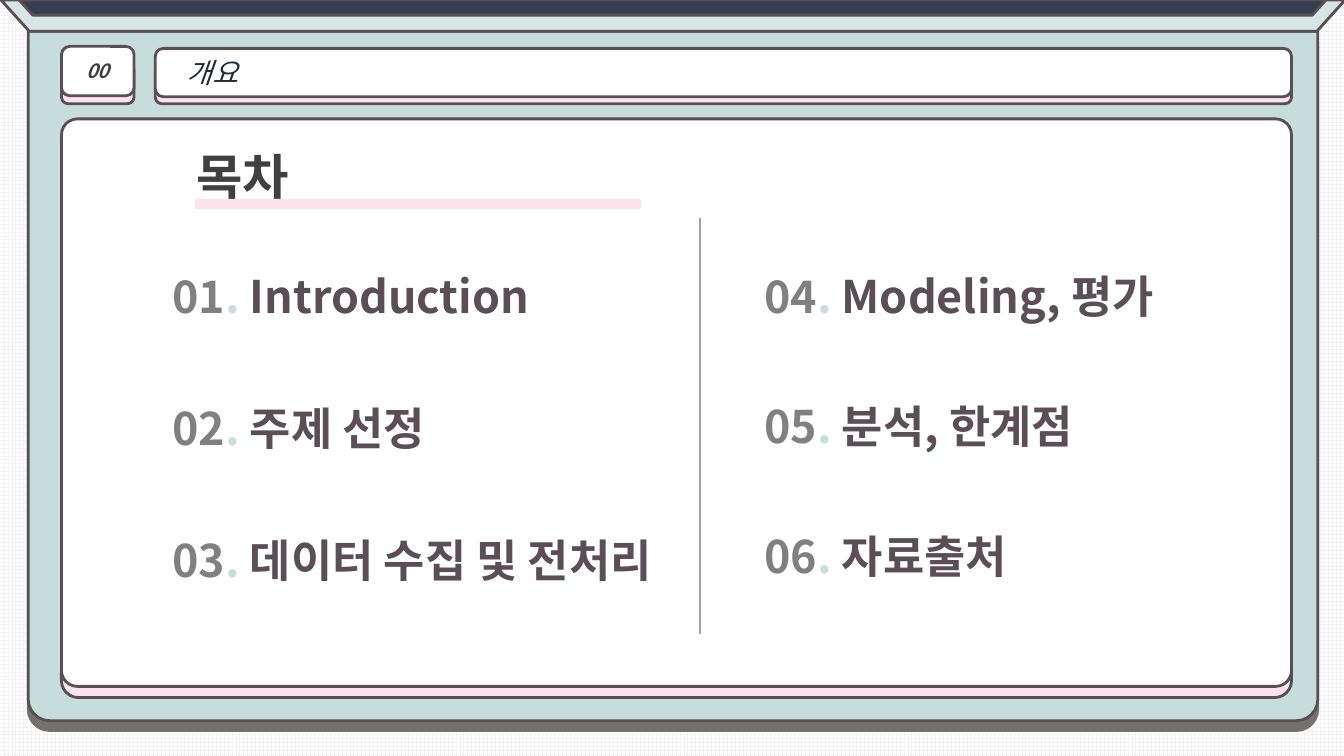
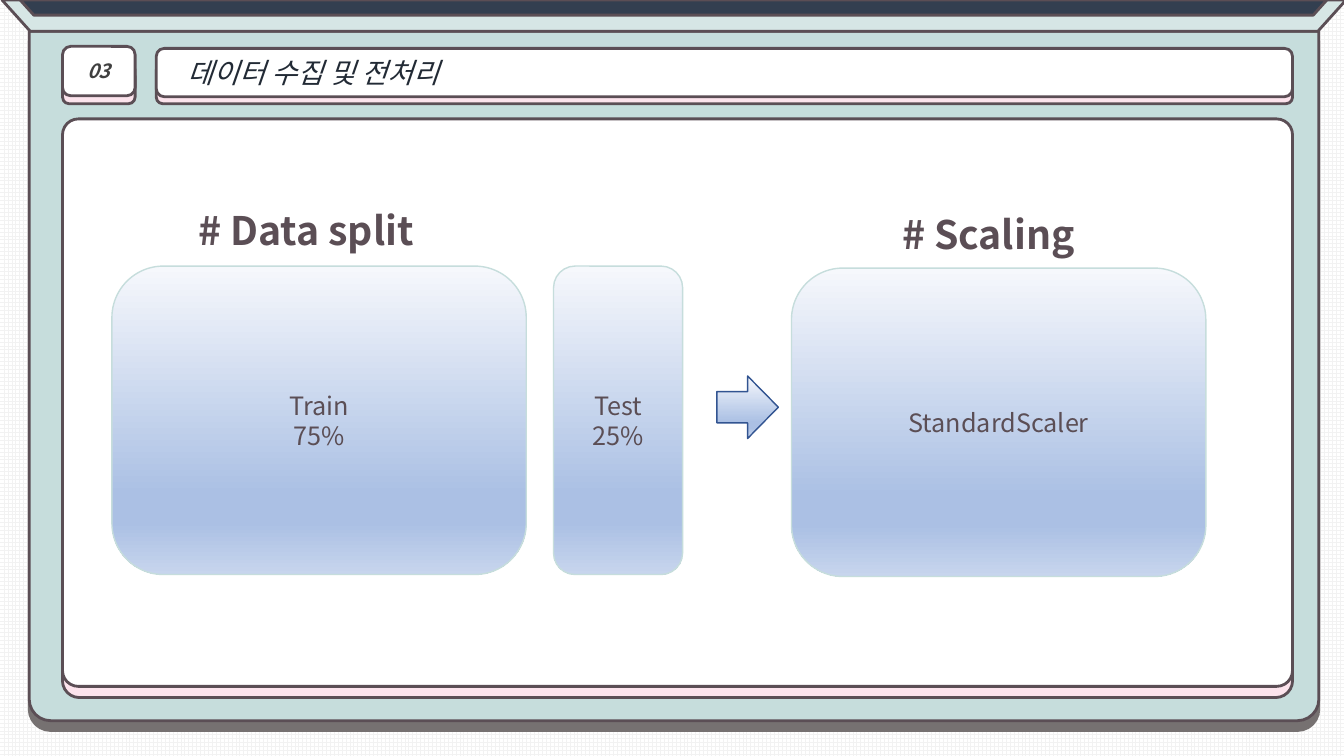
"""Build a contents slide and a data preparation slide inside a shared console frame."""
from dataclasses import dataclass
from typing import Optional

from lxml.etree import SubElement
from pptx import Presentation
from pptx.dml.color import RGBColor
from pptx.enum.dml import MSO_PATTERN
from pptx.enum.shapes import MSO_CONNECTOR, MSO_SHAPE
from pptx.enum.text import MSO_ANCHOR, MSO_AUTO_SIZE, PP_ALIGN
from pptx.oxml.ns import qn
from pptx.util import Inches, Pt

FONT = "Noto Sans CJK KR"
COLORS = {
    "paper": "FFFFFF", "grid": "F2F2F2", "mint": "C6DDDC", "pale_mint": "D6E6E5",
    "navy": "333F50", "pink": "FCE3EC", "plum": "5B4E55", "shade": "767171",
    "number": "808080", "dark": "404040", "ink": "222A35", "divider": "A5A5A5",
    "arrow_edge": "325491", "sky_light": "F6F8FC", "sky": "ABC0E4", "sky_end": "C7D5ED",
}
GRADIENT = ((0, "sky_light"), (74, "sky"), (83, "sky"), (100, "sky_end"))


@dataclass(frozen=True)
class Box:
    """Position and size in inches."""
    left: float
    top: float
    width: float
    height: float

    def moved(self, shift: float):
        """Return the box shifted to the right."""
        return Box(self.left + shift, self.top, self.width, self.height)

    def lengths(self) -> tuple:
        """Return the four lengths for python-pptx."""
        return tuple(Inches(size) for size in (self.left, self.top, self.width, self.height))


@dataclass(frozen=True)
class Style:
    """Look of a piece of text."""
    size: float
    color: str
    bold: bool = False
    italic: bool = False


@dataclass(frozen=True)
class Panel:
    """An outlined preset shape."""
    box: Box
    fill: Optional[str] = None
    line: str = "plum"
    weight: float = 2
    kind: MSO_SHAPE = MSO_SHAPE.ROUNDED_RECTANGLE
    adjustments: tuple = ()
    rotation: int = 0


@dataclass(frozen=True)
class Entry:
    """A numbered line of the contents."""
    box: Box
    number: str
    dot: str
    title: str


BODY = Panel(Box(0.28, 0.31, 12.79, 6.84), "mint",
             kind=MSO_SHAPE.ROUND_2_SAME_RECTANGLE, adjustments=(0, 0.031))
LIDS = tuple(
    Panel(box, fill, kind=MSO_SHAPE.TRAPEZOID, adjustments=(0.9,), rotation=180)
    for box, fill in ((Box(0.01, 0, 13.33, 0.31), "pale_mint"),
                      (Box(0.19, 0, 12.96, 0.15), "navy"))
)
NUMBER_BASE = Panel(Box(0.61, 0.63, 0.72, 0.4), "pink")
NUMBER_TAB = Panel(Box(0.61, 0.46, 0.72, 0.49), "paper")
TITLE_BASE = Panel(Box(1.54, 0.63, 11.27, 0.4), "pink")
TITLE_BAR = Panel(Box(1.54, 0.48, 11.27, 0.48), "paper")
CONTENT_BASE = Panel(Box(0.61, 2, 12.2, 4.92), "pink", adjustments=(0.034,))
CONTENT = Panel(Box(0.61, 1.18, 12.2, 5.63), "paper", adjustments=(0.028,))

NUMBER_STYLE = Style(14, "dark", bold=True, italic=True)
TITLE_STYLE = Style(20, "ink", italic=True)
CONTENTS_STYLE = Style(36, "dark", bold=True)
HEADING_STYLE = Style(28, "plum", bold=True)
CARD_STYLE = Style(18, "plum")


def rgb(name: str) -> RGBColor:
    """Look up a named colour."""
    return RGBColor.from_string(COLORS[name])


def format_span(span, style: Style) -> None:
    """Apply a text style to a run, for Latin and Korean letters alike."""
    font = span.font
    font.size, font.bold, font.italic = Pt(style.size), style.bold, style.italic
    font.color.rgb = rgb(style.color)
    font.name = FONT
    SubElement(span._r.get_or_add_rPr(), qn("a:ea"), typeface=FONT)


def format_frame(frame, style: Style, align: PP_ALIGN = PP_ALIGN.LEFT) -> None:
    """Format every paragraph of a text frame."""
    for para in frame.paragraphs:
        para.alignment = align
        for span in para.runs:
            format_span(span, style)


def fill_gradient(shape) -> None:
    """Give a shape the vertical blue gradient."""
    shape.fill.gradient()
    shape.fill.gradient_angle = 270
    stops = shape._element.spPr.find(qn("a:gradFill")).find(qn("a:gsLst"))
    for stop in list(stops):
        stops.remove(stop)
    for percent, color in GRADIENT:
        stop = SubElement(stops, qn("a:gs"), pos=str(percent * 1000))
        SubElement(stop, qn("a:srgbClr"), val=COLORS[color])


def add_panel(page, panel: Panel, shift: float = 0):
    """Draw a panel; without a fill colour it gets the gradient."""
    shape = page.shapes.add_shape(panel.kind, *panel.box.moved(shift).lengths())
    shape.shadow.inherit = False
    shape.rotation = panel.rotation
    for index, value in enumerate(panel.adjustments):
        shape.adjustments[index] = value
    if panel.fill:
        shape.fill.solid()
        shape.fill.fore_color.rgb = rgb(panel.fill)
    else:
        fill_gradient(shape)
    shape.line.color.rgb = rgb(panel.line)
    shape.line.width = Pt(panel.weight)
    return shape


def add_label(shape, text: str, style: Style, align: PP_ALIGN = PP_ALIGN.CENTER) -> None:
    """Write text in the middle of a shape."""
    frame = shape.text_frame
    frame.text = text
    frame.vertical_anchor = MSO_ANCHOR.MIDDLE
    format_frame(frame, style, align)


def add_text(page, box: Box, text: str, style: Style):
    """Add a wrapping text box and return its frame."""
    frame = page.shapes.add_textbox(*box.lengths()).text_frame
    frame.word_wrap = True
    frame.auto_size = MSO_AUTO_SIZE.SHAPE_TO_FIT_TEXT
    frame.text = text
    format_frame(frame, style)
    return frame


def add_entry(page, entry: Entry) -> None:
    """Add a contents line with its three colours."""
    frame = add_text(page, entry.box, entry.number, Style(32, "number", bold=True))
    for text, color in ((entry.dot, "mint"), (entry.title, "plum")):
        span = frame.paragraphs[0].add_run()
        span.text = text
        format_span(span, Style(32, color, bold=True))


def add_drop_shadow(shape) -> None:
    """Put a hard grey shadow straight below a shape."""
    effects = shape._element.spPr.find(qn("a:effectLst"))
    shadow = SubElement(effects, qn("a:outerShdw"), blurRad="0", dist=str(Pt(7)),
                        dir="5400000", algn="t", rotWithShape="0")
    SubElement(shadow, qn("a:srgbClr"), val=COLORS["shade"])


def add_page(deck, number: str, title: str, shift: float = 0):
    """Add a slide with the gridded background and the console frame."""
    page = deck.slides.add_slide(deck.slide_layouts[6])
    backdrop = page.background.fill
    backdrop.patterned()
    backdrop.pattern = MSO_PATTERN.LARGE_GRID
    backdrop.fore_color.rgb = rgb("grid")
    backdrop.back_color.rgb = rgb("paper")

    add_drop_shadow(add_panel(page, BODY, shift))
    for panel in (*LIDS, NUMBER_BASE):
        add_panel(page, panel, shift)
    number_tab = add_panel(page, NUMBER_TAB, shift)
    add_label(number_tab, number, NUMBER_STYLE)
    number_tab.text_frame.word_wrap = False
    add_panel(page, TITLE_BASE, shift)
    title_bar = add_panel(page, TITLE_BAR, shift)
    add_label(title_bar, title, TITLE_STYLE, PP_ALIGN.LEFT)
    title_bar.text_frame.margin_left = Inches(0.29)
    for panel in (CONTENT_BASE, CONTENT):
        add_panel(page, panel, shift)
    return page


def build_contents(deck) -> None:
    """Build the contents slide."""
    page = add_page(deck, "00", "개요")
    heading = add_text(page, Box(1.85, 1.1, 1.58, 0.9), "목차", CONTENTS_STYLE)
    heading.paragraphs[0].line_spacing = 1.5
    add_panel(page, Panel(Box(1.94, 1.98, 4.41, 0.09), "pink", "pink", 1))

    columns = (
        (1.61, 1.31, ((".", " Introduction"), (". ", "주제 선정"),
                      (". ", "데이터 수집 및 전처리"))),
        (7.48, 1.29, ((".", " Modeling, 평가"), (". ", "분석, 한계점"),
                      (". ", "자료출처"))),
    )
    number = 0
    for left, pitch, titles in columns:
        for row, (dot, title) in enumerate(titles):
            number += 1
            box = Box(left, 2.62 + row * pitch, 5.33, 0.64)
            add_entry(page, Entry(box, f"{number:02}", dot, title))

    divider = page.shapes.add_connector(
        MSO_CONNECTOR.STRAIGHT, Inches(6.94), Inches(2.16), Inches(6.94), Inches(6.29))
    divider.line.color.rgb = rgb("divider")
    divider.line.width = Pt(1.5)
    SubElement(divider._element.spPr, qn("a:effectLst"))


def build_preparation(deck) -> None:
    """Build the data split and scaling slide."""
    page = add_page(deck, "03", "데이터 수집 및 전처리", shift=0.01)
    for left, top, heading in ((1.87, 2, "# Data split"), (8.85, 2.04, "# Scaling")):
        add_text(page, Box(left, top, 3.62, 0.57), heading, HEADING_STYLE)
    cards = (
        (Box(1.11, 2.64, 4.11, 3.06), "Train\n75%"),
        (Box(5.49, 2.64, 1.28, 3.06), "Test\n25%"),
        (Box(7.85, 2.66, 4.11, 3.06), "StandardScaler"),
    )
    for box, text in cards:
        add_label(add_panel(page, Panel(box, line="mint", weight=1)), text, CARD_STYLE)
    add_panel(page, Panel(Box(7.11, 3.73, 0.61, 0.62), line="arrow_edge", weight=1,
                          kind=MSO_SHAPE.RIGHT_ARROW))


def main() -> None:
    """Build and save the deck."""
    deck = Presentation()
    deck.slide_width, deck.slide_height = Inches(13.33), Inches(7.5)
    build_contents(deck)
    build_preparation(deck)
    deck.save("out.pptx")


if __name__ == "__main__":
    main()
